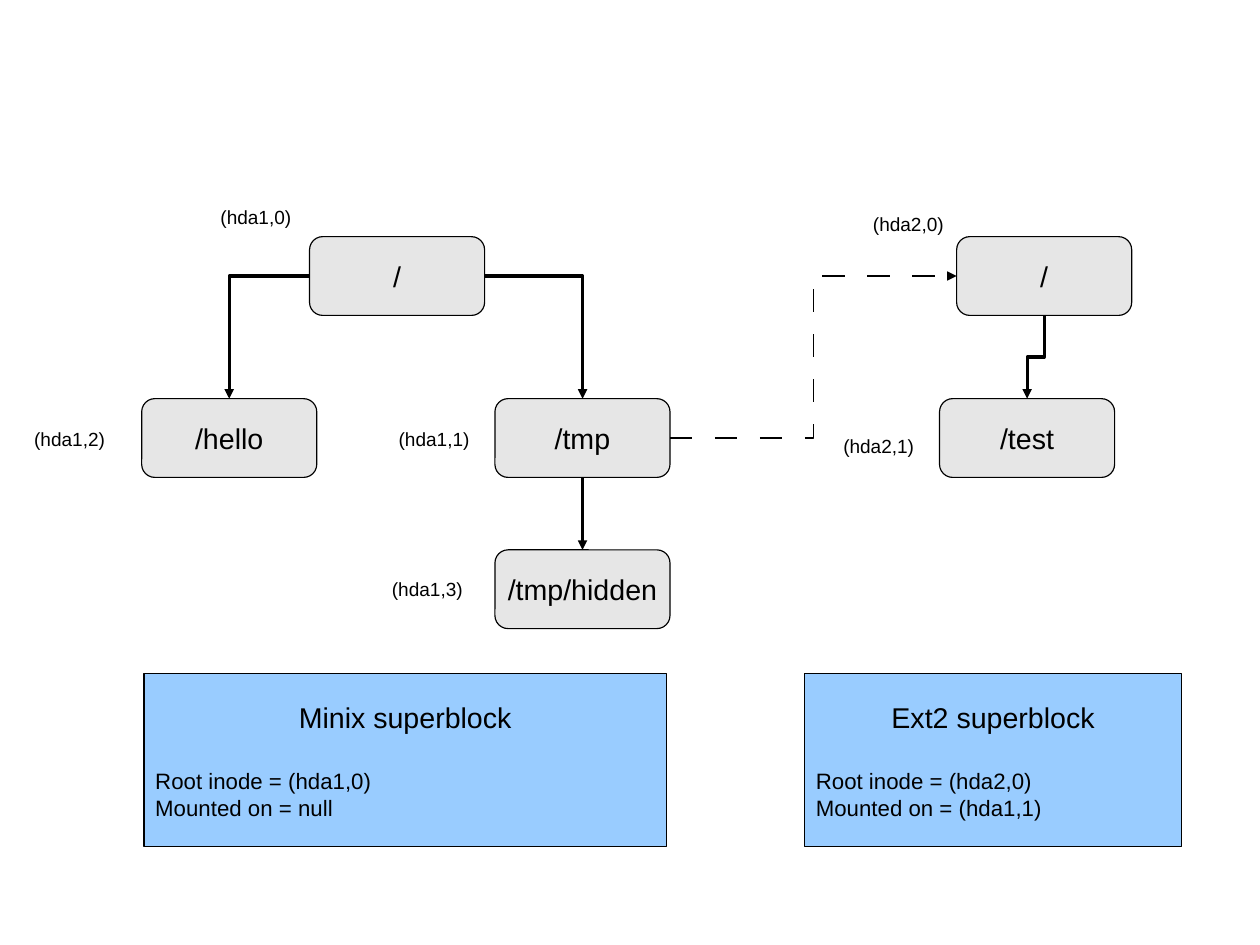
from lxml import etree
from pptx import Presentation
from pptx.dml.color import RGBColor
from pptx.enum import shapes, text
from pptx.oxml.ns import qn
from pptx.util import Cm, Pt

BLACK = RGBColor(0x00, 0x00, 0x00)
NODE_GREY = RGBColor(0xE6, 0xE6, 0xE6)
BLOCK_BLUE = RGBColor(0x99, 0xCC, 0xFF)
TOP, LEFT, BOTTOM, RIGHT = range(4)  # connection sites of a box
ROOT_ROW, CHILD_ROW, HIDDEN_ROW = 5.26, 8.86, 12.22

deck = Presentation()
deck.slide_width, deck.slide_height = Cm(28), Cm(21)
page = deck.slides.add_slide(deck.slide_layouts[6])


def add_box(kind, left, top, width, height, fill):
    box = page.shapes.add_shape(kind, Cm(left), Cm(top), Cm(width), Cm(height))
    box.shadow.inherit = False
    box.fill.solid()
    box.fill.fore_color.rgb = fill
    box.line.color.rgb = BLACK
    box.line.width = Pt(0)
    box.text_frame.vertical_anchor = text.MSO_ANCHOR.MIDDLE
    return box


def write(para, words, size, align):
    para.text = words
    para.alignment = align
    font = para.runs[0].font
    font.name, font.size, font.color.rgb = "Arial", Pt(size), BLACK


# Directory nodes: name, words, left, top
nodes = {}
for name, words, left, top in [
    ("minix root", "/", 6.88, ROOT_ROW),
    ("hello", "/hello", 3.15, CHILD_ROW),
    ("tmp", "/tmp", 11, CHILD_ROW),
    ("hidden", "/tmp/hidden", 11, HIDDEN_ROW),
    ("ext2 root", "/", 21.26, ROOT_ROW),
    ("test", "/test", 20.88, CHILD_ROW),
]:
    node = add_box(shapes.MSO_SHAPE.ROUNDED_RECTANGLE, left, top, 3.89, 1.75, NODE_GREY)
    node.text_frame.word_wrap = False
    write(node.text_frame.paragraphs[0], words, 18, text.PP_ALIGN.CENTER)
    nodes[name] = node

# Inode labels
for words, left, top in [
    ("(hda1,0)", 4.65, 4.45),
    ("(hda1,2)", 0.51, 9.37),
    ("(hda1,1)", 8.61, 9.37),
    ("(hda1,3)", 8.46, 12.7),
    ("(hda2,0)", 19.15, 4.6),
    ("(hda2,1)", 18.49, 9.53),
]:
    label = page.shapes.add_textbox(Cm(left), Cm(top), Cm(2.82), Cm(0.74))
    label.text_frame.word_wrap = True
    write(label.text_frame.paragraphs[0], words, 12, text.PP_ALIGN.LEFT)

# Superblocks
for title, left, width, root, mount in [
    ("Minix superblock", 3.2, 11.61, "(hda1,0)", "null"),
    ("Ext2 superblock", 17.88, 8.38, "(hda2,0)", "(hda1,1)"),
]:
    block = add_box(shapes.MSO_SHAPE.RECTANGLE, left, 14.96, width, 3.86, BLOCK_BLUE)
    frame = block.text_frame
    frame.word_wrap = True
    write(frame.paragraphs[0], title, 18, text.PP_ALIGN.CENTER)
    write(frame.add_paragraph(), f"Root inode = {root}", 14, text.PP_ALIGN.LEFT)
    write(frame.add_paragraph(), f"Mounted on = {mount}", 14, text.PP_ALIGN.LEFT)
    frame.paragraphs[1].space_before = Pt(21)

# Arrows between nodes
for start, start_site, end, end_site, preset, dashed in [
    ("minix root", LEFT, "hello", TOP, "bentConnector2", False),
    ("minix root", RIGHT, "tmp", TOP, "bentConnector2", False),
    ("tmp", BOTTOM, "hidden", TOP, "straightConnector1", False),
    ("ext2 root", BOTTOM, "test", TOP, "bentConnector3", False),
    ("tmp", RIGHT, "ext2 root", LEFT, "bentConnector3", True),
]:
    arrow = page.shapes.add_connector(shapes.MSO_CONNECTOR.ELBOW, 0, 0, 0, 0)
    arrow.begin_connect(nodes[start], start_site)
    arrow.end_connect(nodes[end], end_site)
    properties = arrow._element.spPr
    properties.find(qn("a:prstGeom")).set("prst", preset)
    if preset == "bentConnector3" and start_site == BOTTOM:
        # A quarter turn makes the elbow leave downwards
        across, down = arrow.width, arrow.height
        arrow.left += (across - down) // 2
        arrow.top += (down - across) // 2
        arrow.width, arrow.height = down, across
        frame_xml = properties.find(qn("a:xfrm"))
        frame_xml.set("rot", "5400000")
        frame_xml.attrib.pop("flipH", None)
    arrow.line.color.rgb = BLACK
    arrow.line.width = Pt(0.75 if dashed else 0)
    line_xml = properties.find(qn("a:ln"))
    if dashed:
        dashes = etree.SubElement(line_xml, qn("a:custDash"))
        etree.SubElement(dashes, qn("a:ds"), d="1920000", sp="1920000")
    etree.SubElement(line_xml, qn("a:tailEnd"), type="triangle", w="med", len="med")
    etree.SubElement(properties, qn("a:effectLst"))

deck.save("out.pptx")
